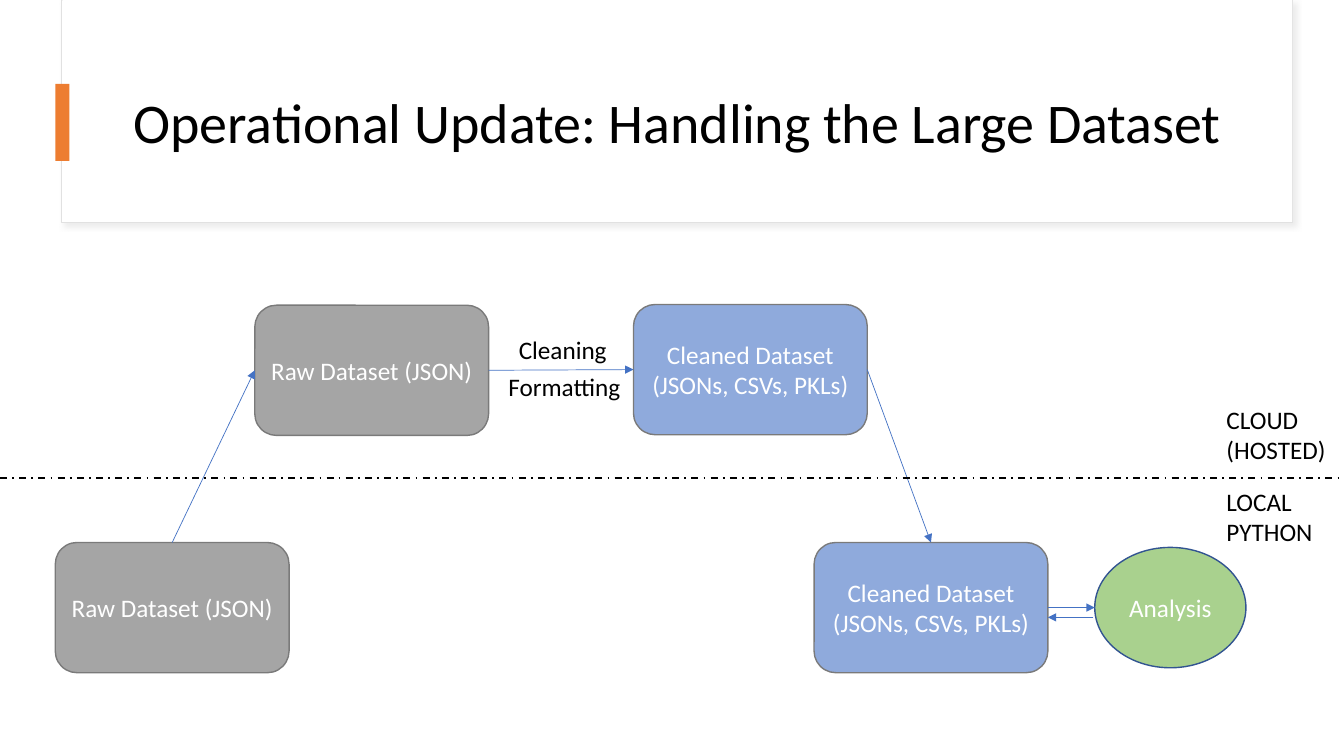
from dataclasses import dataclass
from typing import Any, NamedTuple, Optional

import pptx
import pptx.dml.color
import pptx.enum.dml
import pptx.enum.shapes
import pptx.enum.text
import pptx.oxml
import pptx.oxml.ns
import pptx.util
from lxml import etree

Pt = pptx.util.Pt
Kind = pptx.enum.shapes.MSO_SHAPE
Align = pptx.enum.text.PP_ALIGN
Anchor = pptx.enum.text.MSO_ANCHOR


@dataclass(frozen=True)
class Theme:
    font: str = "Calibri"
    title_size: float = 40
    body_size: float = 18
    ink: str = "000000"
    paper: str = "FFFFFF"
    frame_edge: str = "E1E1E1"
    frame_shadow: str = "D9D9D9"
    accent: str = "ED7D31"
    raw: str = "A5A5A5"
    cleaned: str = "8FAADC"
    analysis: str = "A9D18E"
    box_edge: str = "7A7A7A"
    analysis_edge: str = "325491"
    arrow: str = "4472C4"


THEME = Theme()
SLIDE_WIDTH, SLIDE_HEIGHT = 960, 540
BOX_WIDTH, BOX_HEIGHT = 167, 93
LOCAL_TOP = 387.5
TOP, LEFT, BOTTOM, RIGHT = range(4)


class Block(NamedTuple):
    left: float
    top: float
    width: float
    height: float
    fill: str
    edge: Optional[str] = None
    edge_width: float = 1
    kind: Any = Kind.RECTANGLE
    lines: tuple[str, ...] = ()


class Label(NamedTuple):
    left: float
    top: float
    width: float
    height: float
    text: str


class Flow(NamedTuple):
    source: str
    source_side: int
    target: str
    target_side: int


def rgb(value: str) -> pptx.dml.color.RGBColor:
    return pptx.dml.color.RGBColor.from_string(value)


def apply(target: Any, settings: dict[str, Any]) -> None:
    for name, value in settings.items():
        setattr(target, name, value)


def write(frame: Any, lines: tuple[str, ...], size: float, color: str, align: Any) -> None:
    frame.text = "\n".join(lines)
    for paragraph in frame.paragraphs:
        paragraph.alignment = align
        for run in paragraph.runs:
            apply(run.font, {"name": THEME.font, "size": Pt(size), "bold": False})
            run.font.color.rgb = rgb(color)


def draw_block(slide: Any, block: Block) -> Any:
    shape = slide.shapes.add_shape(block.kind, *map(Pt, block[:4]))
    shape.shadow.inherit = False
    shape.fill.solid()
    shape.fill.fore_color.rgb = rgb(block.fill)
    if block.edge:
        shape.line.color.rgb = rgb(block.edge)
        shape.line.width = Pt(block.edge_width)
    else:
        shape.line.fill.background()
    if block.lines:
        apply(shape.text_frame, {"word_wrap": True, "vertical_anchor": Anchor.MIDDLE})
        write(shape.text_frame, block.lines, THEME.body_size, THEME.paper, Align.CENTER)
    return shape


def draw_label(slide: Any, label: Label) -> None:
    frame = slide.shapes.add_textbox(*map(Pt, label[:4])).text_frame
    apply(frame, {"word_wrap": True, "auto_size": pptx.enum.text.MSO_AUTO_SIZE.SHAPE_TO_FIT_TEXT})
    write(frame, (label.text,), THEME.body_size, THEME.ink, Align.LEFT)


def draw_line(slide: Any, ends: tuple[float, float, float, float], color: str, width: float) -> Any:
    line = slide.shapes.add_connector(pptx.enum.shapes.MSO_CONNECTOR.STRAIGHT, *map(Pt, ends))
    line.line.color.rgb = rgb(color)
    line.line.width = Pt(width)
    etree.SubElement(line._element.spPr, pptx.oxml.ns.qn("a:effectLst"))
    return line


def draw_arrow(slide: Any, ends: tuple[float, float, float, float] = (0, 0, 0, 0)) -> Any:
    arrow = draw_line(slide, ends, THEME.arrow, 0.5)
    etree.SubElement(arrow.line._get_or_add_ln(), pptx.oxml.ns.qn("a:tailEnd"), type="triangle")
    return arrow


def add_shadow(shape: Any) -> None:
    effects = shape._element.spPr.find(pptx.oxml.ns.qn("a:effectLst"))
    effects.append(pptx.oxml.parse_xml(
        f'<a:outerShdw {pptx.oxml.ns.nsdecls("a")} blurRad="{Pt(4)}" dist="{Pt(3)}"'
        f' dir="2700000" algn="tl" rotWithShape="0"><a:srgbClr val="{THEME.frame_shadow}">'
        '<a:alpha val="50000"/></a:srgbClr></a:outerShdw>'))


def data_box(left: float, top: float, fill: str, *lines: str) -> Block:
    return Block(left, top, BOX_WIDTH, BOX_HEIGHT, fill, THEME.box_edge,
                 kind=Kind.ROUNDED_RECTANGLE, lines=lines)


RAW_TEXT = ("Raw Dataset (JSON)",)
CLEANED_TEXT = ("Cleaned Dataset", "(JSONs, CSVs, PKLs)")
HEADER = (
    Block(44, 0, 879, 159, THEME.paper, THEME.frame_edge, 0.75),
    Block(44.5, 0, 878.5, 158.5, THEME.paper),
)
TITLE_BAR = Block(39.5, 60, 10, 55, THEME.accent)
STAGES = {
    "raw local": data_box(39.5, LOCAL_TOP, THEME.raw, *RAW_TEXT),
    "raw cloud": data_box(182, 218, THEME.raw, *RAW_TEXT),
    "cleaned cloud": data_box(452.5, 217.5, THEME.cleaned, *CLEANED_TEXT),
    "cleaned local": data_box(581.5, LOCAL_TOP, THEME.cleaned, *CLEANED_TEXT),
    "analysis": Block(782, 391, 108, 86, THEME.analysis, THEME.analysis_edge,
                      kind=Kind.OVAL, lines=("Analysis",)),
}
FLOWS = (
    Flow("raw local", TOP, "raw cloud", LEFT),
    Flow("raw cloud", RIGHT, "cleaned cloud", LEFT),
    Flow("cleaned cloud", RIGHT, "cleaned local", TOP),
)
LABELS = (
    Label(363.5, 235, 94, 29, "Cleaning"),
    Label(356, 262, 98.5, 29, "Formatting"),
    Label(869, 285, 94, 51, "CLOUD (HOSTED)"),
    Label(869, 343.5, 94, 51, "LOCAL PYTHON"),
)


def main() -> None:
    deck = pptx.Presentation()
    apply(deck, {"slide_width": Pt(SLIDE_WIDTH), "slide_height": Pt(SLIDE_HEIGHT)})
    slide = deck.slides.add_slide(deck.slide_layouts[5])

    # Header frame behind the title
    title = slide.shapes.title
    frames = [draw_block(slide, block) for block in HEADER]
    add_shadow(frames[0])
    for frame in frames:
        title._element.addprevious(frame._element)

    # Title and its accent bar
    apply(title, {"left": Pt(88), "top": Pt(43), "width": Pt(800), "height": Pt(93)})
    apply(title.text_frame, {"word_wrap": True, "vertical_anchor": Anchor.MIDDLE,
                             "auto_size": pptx.enum.text.MSO_AUTO_SIZE.NONE})
    write(title.text_frame, ("Operational Update: Handling the Large Dataset",),
          THEME.title_size, THEME.ink, Align.LEFT)
    title.text_frame.paragraphs[0].line_spacing = 0.9
    draw_block(slide, TITLE_BAR)

    # Stages and the flows between them
    stages = {name: draw_block(slide, block) for name, block in STAGES.items()}
    for flow in FLOWS:
        arrow = draw_arrow(slide)
        arrow.begin_connect(stages[flow.source], flow.source_side)
        arrow.end_connect(stages[flow.target], flow.target_side)

    # Exchange between the cleaned data and the analysis
    analysis_left = STAGES["analysis"].left
    cleaned_right = STAGES["cleaned local"].left + BOX_WIDTH
    middle = LOCAL_TOP + BOX_HEIGHT / 2
    request = draw_arrow(slide, (cleaned_right, middle, analysis_left, middle))
    request.begin_connect(stages["cleaned local"], RIGHT)
    draw_arrow(slide, (analysis_left - 1, middle + 7, cleaned_right, middle + 7))

    # Border between cloud and local, with labels
    border = draw_line(slide, (0, 341.5, SLIDE_WIDTH, 341.5), THEME.ink, 1.25)
    border.line.dash_style = pptx.enum.dml.MSO_LINE.DASH_DOT
    for label in LABELS:
        draw_label(slide, label)

    deck.save("out.pptx")


if __name__ == "__main__":
    main()
